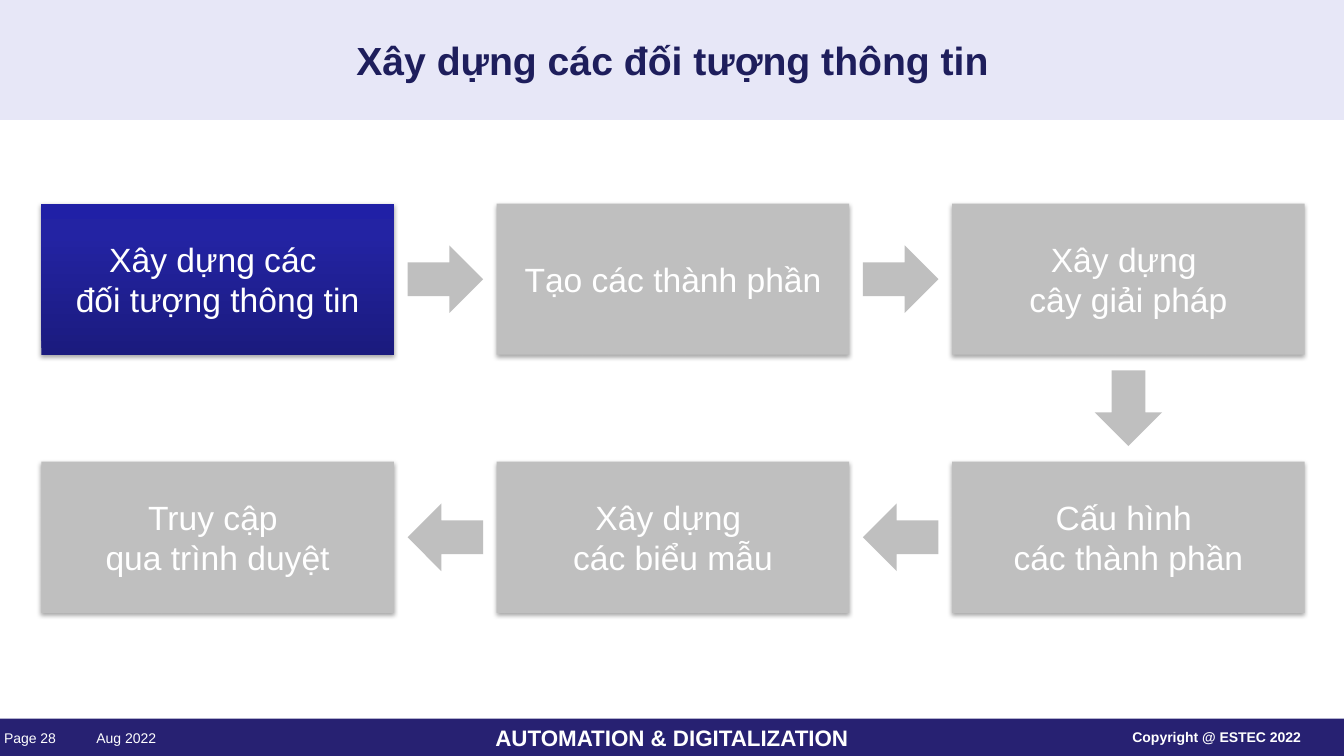
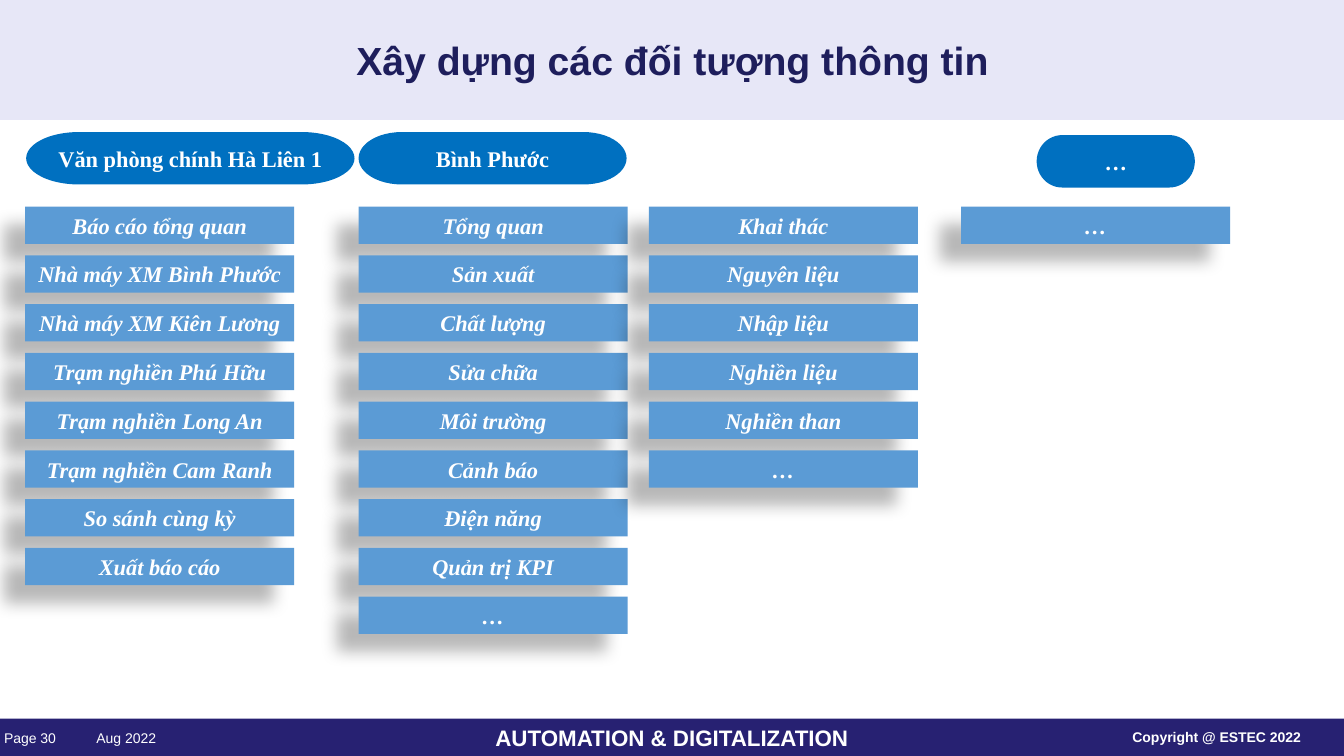
import copy
import dataclasses
import itertools
import math

import pptx
import pptx.dml.color
import pptx.enum.shapes
import pptx.enum.text
import pptx.oxml
import pptx.oxml.ns
import pptx.presentation
import pptx.shapes.autoshape
import pptx.shapes.base
import pptx.slide
import pptx.util

Inches = pptx.util.Inches
Pt = pptx.util.Pt
SHAPE = pptx.enum.shapes.MSO_SHAPE
ALIGN = pptx.enum.text.PP_ALIGN

COLORS = {
    "title_band": "E7E7F7",
    "title": "1E1E5C",
    "footer": "272172",
    "white": "FFFFFF",
    "inactive": "BFBFBF",
    "heading": "0070C0",
    "bar": "5B9BD5",
}
ACTIVE_GRADIENT = [(0, "1B1B7E"), (0.8, "2323A3"), (1, "2020A6")]

SLIDE_WIDTH, SLIDE_HEIGHT = 13.34, 7.5
TITLE_BAND_HEIGHT, FOOTER_HEIGHT = 1.19, 0.37
TITLE = "Xây dựng các đối tượng thông tin"

STEP_WIDTH, STEP_HEIGHT = 3.5, 1.5
STEP_LEFT, STEP_TOP = 0.41, 2.02
STEP_PITCH_X, STEP_PITCH_Y = 4.52, 2.56
ARROW_WIDTH, ARROW_HEIGHT = 0.75, 0.67

BAR_WIDTH, BAR_HEIGHT, HEADING_HEIGHT = 2.67, 0.37, 0.52
FIRST_BAR_TOP, LAST_BAR_TOP, MOST_BARS = 2.05, 5.92, 9
BAR_PITCH = (LAST_BAR_TOP - FIRST_BAR_TOP) / (MOST_BARS - 1)


@dataclasses.dataclass
class Shadow:
    alpha: int
    blur: float
    distance: float
    angle: int


@dataclasses.dataclass
class Step:
    text: str
    column: int
    row: int
    active: bool = False

    @property
    def left(self) -> float:
        return STEP_LEFT + self.column * STEP_PITCH_X

    @property
    def top(self) -> float:
        return STEP_TOP + self.row * STEP_PITCH_Y


@dataclasses.dataclass
class Heading:
    text: str
    left: float
    top: float
    width: float


@dataclasses.dataclass
class BarColumn:
    left: float
    bars: list[str]
    heading: Heading | None = None


@dataclasses.dataclass
class FooterText:
    text: str
    left: float
    width: float
    align: ALIGN = ALIGN.LEFT
    bold: bool = False
    spacing: float = 1.0


STEP_SHADOW = Shadow(alpha=35, blur=3.1, distance=1.8, angle=90)
BAR_SHADOW = Shadow(alpha=28, blur=11.8, distance=19.7, angle=141)

STEPS = [
    Step("Xây dựng các \nđối tượng thông tin", 0, 0, active=True),
    Step("Tạo các thành phần", 1, 0),
    Step("Xây dựng \ncây giải pháp", 2, 0),
    Step("Cấu hình \ncác thành phần", 2, 1),
    Step("Xây dựng \ncác biểu mẫu", 1, 1),
    Step("Truy cập \nqua trình duyệt", 0, 1),
]

BAR_COLUMNS = [
    BarColumn(0.25, [
        "Báo cáo tổng quan", "Nhà máy XM Bình Phước", "Nhà máy XM Kiên Lương",
        "Trạm nghiền Phú Hữu", "Trạm nghiền Long An", "Trạm nghiền Cam Ranh",
        "So sánh cùng kỳ", "Xuất báo cáo",
    ], Heading("Văn phòng chính Hà Liên 1", 0.26, 1.31, 3.26)),
    BarColumn(3.56, [
        "Tổng quan", "Sản xuất", "Chất lượng", "Sửa chữa", "Môi trường",
        "Cảnh báo", "Điện năng", "Quản trị KPI", "…",
    ], Heading("Bình Phước", 3.56, 1.31, 2.66)),
    BarColumn(6.44, [
        "Khai thác", "Nguyên liệu", "Nhập liệu", "Nghiền liệu", "Nghiền than", "…",
    ]),
    BarColumn(9.54, ["…"], Heading("…", 10.29, 1.34, 1.57)),
]


def rgb(name: str) -> pptx.dml.color.RGBColor:
    return pptx.dml.color.RGBColor.from_string(COLORS[name])


def write_text(
    shape: pptx.shapes.base.BaseShape,
    text: str,
    *,
    size: float,
    color: str = "white",
    font: str = "Arial",
    bold: bool = False,
    italic: bool = False,
    align: ALIGN = ALIGN.CENTER,
    wrap: bool = True,
    spacing: float = 1.0,
    no_margins: bool = False,
) -> None:
    """Fill the shape with one paragraph per line of text, centred vertically."""
    frame = shape.text_frame
    frame.text = text
    frame.word_wrap = wrap
    frame.auto_size = pptx.enum.text.MSO_AUTO_SIZE.NONE
    frame.vertical_anchor = pptx.enum.text.MSO_ANCHOR.MIDDLE
    if no_margins:
        frame.margin_left = frame.margin_right = 0
        frame.margin_top = frame.margin_bottom = 0
    for paragraph in frame.paragraphs:
        paragraph.alignment = align
        paragraph.line_spacing = spacing
        paragraph.font.name = font
        paragraph.font.size = Pt(size)
        paragraph.font.bold = bold
        paragraph.font.italic = italic
        paragraph.font.color.rgb = rgb(color)


def add_shadow(shape: pptx.shapes.autoshape.Shape, shadow: Shadow) -> None:
    effects = shape.element.spPr.find(pptx.oxml.ns.qn("a:effectLst"))
    effects.append(pptx.oxml.parse_xml(
        f'<a:outerShdw {pptx.oxml.ns.nsdecls("a")} blurRad="{Pt(shadow.blur)}" '
        f'dist="{Pt(shadow.distance)}" dir="{shadow.angle * 60000}" '
        f'algn="ctr" rotWithShape="0"><a:srgbClr val="000000">'
        f'<a:alpha val="{shadow.alpha * 1000}"/></a:srgbClr></a:outerShdw>'
    ))


def add_block(
    slide: pptx.slide.Slide,
    kind: SHAPE,
    left: float,
    top: float,
    width: float,
    height: float,
    color: str,
    shadow: Shadow | None = None,
) -> pptx.shapes.autoshape.Shape:
    """Add a filled shape without an outline."""
    shape = slide.shapes.add_shape(
        kind, Inches(left), Inches(top), Inches(width), Inches(height)
    )
    shape.fill.solid()
    shape.fill.fore_color.rgb = rgb(color)
    shape.line.fill.background()
    shape.shadow.inherit = False
    if shadow:
        add_shadow(shape, shadow)
    return shape


def apply_active_gradient(shape: pptx.shapes.autoshape.Shape) -> None:
    shape.fill.gradient()
    shape.fill.gradient_angle = 90
    stop_list = next(shape.element.spPr.iter(pptx.oxml.ns.qn("a:gsLst")))
    stop_list.append(copy.deepcopy(stop_list[-1]))
    for stop, (position, color) in zip(shape.fill.gradient_stops, ACTIVE_GRADIENT):
        stop.position = position
        stop.color.rgb = pptx.dml.color.RGBColor.from_string(color)


def add_titled_slide(
    presentation: pptx.presentation.Presentation, page: int
) -> pptx.slide.Slide:
    """Add a slide with the shared title, bands and footer."""
    slide = presentation.slides.add_slide(presentation.slide_layouts[5])
    add_block(slide, SHAPE.RECTANGLE, 0, 0, SLIDE_WIDTH, TITLE_BAND_HEIGHT, "title_band")
    footer = add_block(
        slide, SHAPE.RECTANGLE, 0, SLIDE_HEIGHT - FOOTER_HEIGHT,
        SLIDE_WIDTH, FOOTER_HEIGHT, "footer",
    )
    write_text(footer, "AUTOMATION & DIGITALIZATION", size=16, bold=True)

    for item in (
        FooterText("Aug 2022", 0.81, 0.74, ALIGN.RIGHT, spacing=1.1),
        FooterText(f"Page {page}", 0.04, 0.74, spacing=1.1),
        FooterText("Copyright @ ESTEC 2022", 11.24, 1.81, bold=True),
    ):
        box = slide.shapes.add_textbox(
            Inches(item.left), Inches(7.23), Inches(item.width), Inches(0.17)
        )
        write_text(box, item.text, size=10, bold=item.bold, align=item.align,
                   spacing=item.spacing, no_margins=True)

    title = slide.shapes.title
    title.left, title.top = Inches(2.56), Inches(0)
    title.width, title.height = Inches(8.23), Inches(TITLE_BAND_HEIGHT)
    write_text(title, TITLE, size=28, color="title", bold=True)
    title.element.getparent().append(title.element)  # in front of its band
    return slide


def add_step(slide: pptx.slide.Slide, step: Step) -> None:
    box = add_block(slide, SHAPE.RECTANGLE, step.left, step.top,
                    STEP_WIDTH, STEP_HEIGHT, "inactive", STEP_SHADOW)
    if step.active:
        apply_active_gradient(box)
    write_text(box, step.text, size=24, wrap=False)


def add_step_arrow(slide: pptx.slide.Slide, start: Step, end: Step) -> None:
    """Centre a block arrow between two steps, pointing at the second."""
    center_x = (start.left + end.left + STEP_WIDTH) / 2
    center_y = (start.top + end.top + STEP_HEIGHT) / 2
    arrow = add_block(
        slide, SHAPE.RIGHT_ARROW, center_x - ARROW_WIDTH / 2,
        center_y - ARROW_HEIGHT / 2, ARROW_WIDTH, ARROW_HEIGHT, "inactive",
    )
    arrow.rotation = math.degrees(
        math.atan2(end.top - start.top, end.left - start.left)
    )


def add_bar_column(slide: pptx.slide.Slide, column: BarColumn) -> None:
    for index, text in enumerate(column.bars):
        bar = add_block(
            slide, SHAPE.RECTANGLE, column.left, FIRST_BAR_TOP + index * BAR_PITCH,
            BAR_WIDTH, BAR_HEIGHT, "bar", BAR_SHADOW,
        )
        write_text(bar, text, size=16, font="Times New Roman", bold=True, italic=True)
    heading = column.heading
    if heading:
        pill = add_block(slide, SHAPE.FLOWCHART_TERMINATOR, heading.left, heading.top,
                         heading.width, HEADING_HEIGHT, "heading")
        write_text(pill, heading.text, size=16, font="Times New Roman", bold=True)


def main() -> None:
    presentation = pptx.Presentation()
    presentation.slide_width = Inches(SLIDE_WIDTH)
    presentation.slide_height = Inches(SLIDE_HEIGHT)

    process_slide = add_titled_slide(presentation, 28)
    for step in STEPS:
        add_step(process_slide, step)
    for start, end in itertools.pairwise(STEPS):
        add_step_arrow(process_slide, start, end)

    objects_slide = add_titled_slide(presentation, 30)
    for column in BAR_COLUMNS:
        add_bar_column(objects_slide, column)

    presentation.save("out.pptx")


if __name__ == "__main__":
    main()
